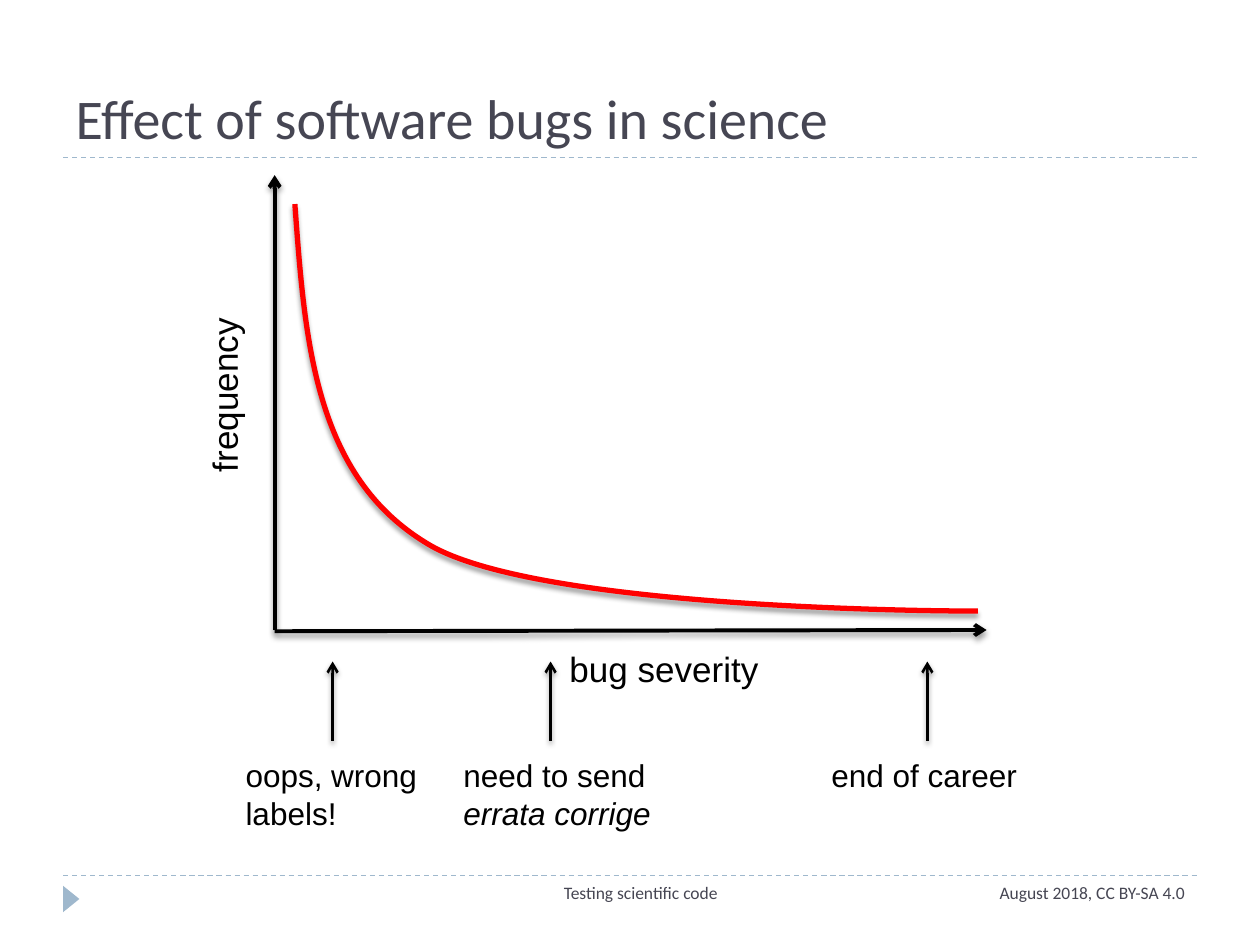
"""Build a slide sketching how often software bugs of each severity occur in science."""

from dataclasses import dataclass

from lxml.etree import SubElement
from pptx import Presentation
from pptx.dml.color import RGBColor
from pptx.enum.dml import MSO_LINE
from pptx.enum.shapes import MSO_CONNECTOR, MSO_SHAPE
from pptx.enum.text import MSO_ANCHOR, MSO_AUTO_SIZE, PP_ALIGN
from pptx.oxml.ns import qn
from pptx.util import Emu, Inches, Pt

BLACK = RGBColor(0x00, 0x00, 0x00)
RED = RGBColor(0xFF, 0x00, 0x00)
SLATE = RGBColor(0x46, 0x46, 0x53)
PALE_BLUE = RGBColor(0x9F, 0xB8, 0xCD)

SLIDE_WIDTH, SLIDE_HEIGHT = Inches(10), Inches(7.5)
COLUMNS = 10
CELL = SLIDE_WIDTH / COLUMNS

RULE_ROWS = (6.95, 1.25)
POINTER_BOTTOM, POINTER_TOP, NOTE_TOP = 5.88, 5.25, 5.95
CURVE_START = (2.34, 1.62)
CURVE_CONTROLS = [
    (2.42, 2.7), (2.49, 3.78), (3.4, 4.32),
    (4.3, 4.86), (7.76, 4.85), (7.76, 4.85),
]


@dataclass(frozen=True)
class Label:
    """A text box placed in grid columns and rows."""

    runs: tuple[str, ...]
    left: float
    top: float
    width: float
    height: float
    size: int
    align: PP_ALIGN = PP_ALIGN.LEFT
    font: str = "Arial"
    color: RGBColor = BLACK
    rotation: int = 0
    grows: bool = True


@dataclass(frozen=True)
class Note:
    """A severity example with its pointer; the second run is italic."""

    runs: tuple[str, ...]
    pointer: float
    left: float
    width: float
    height: float


@dataclass(frozen=True)
class Axis:
    """An axis arrow from start to end."""

    start: tuple[float, float]
    end: tuple[float, float]


AXES = [Axis((2.18, 5), (2.18, 1.39)), Axis((2.18, 5.01), (7.83, 5))]
AXIS_LABELS = [
    Label(("frequency",), 0.98, 2.91, 1.61, 0.45, 20, PP_ALIGN.CENTER, rotation=270),
    Label(("bug severity",), 4.28, 5.09, 1.98, 0.44, 20, PP_ALIGN.CENTER),
]
NOTES = [
    Note(("oops, wrong labels!",), 2.64, 1.85, 1.65, 0.71),
    Note(("need to send ", "errata corrige"), 4.37, 3.58, 1.73, 0.71),
    Note(("end of career",), 7.36, 6.5, 1.73, 0.4),
]
FOOTERS = [
    Label(("August 2018, CC BY-SA 4.0",), 7, 6.95, 2.5, 0.4, 10,
          PP_ALIGN.RIGHT, "Calibri", SLATE, grows=False),
    Label(("Testing scientific code",), 3.17, 6.95, 3.83, 0.4, 10,
          PP_ALIGN.CENTER, "Calibri", SLATE, grows=False),
]


def grid(*cells: float) -> list[Emu]:
    """Turn grid distances into lengths."""
    return [Emu(round(cell * CELL)) for cell in cells]


def set_shadow(shape, visible: bool) -> None:
    """Give a shape a soft shadow below it, or none."""
    effects = SubElement(shape._element.spPr, qn("a:effectLst"))
    if visible:
        shadow = SubElement(effects, qn("a:outerShdw"), blurRad=str(Pt(3)),
                            dist=str(Pt(2)), dir="5400000", rotWithShape="0")
        color = SubElement(shadow, qn("a:srgbClr"), val=str(BLACK))
        SubElement(color, qn("a:alpha"), val="40000")


def add_line(slide, start, end, color: RGBColor, weight: float):
    """Draw a straight connector between two grid points."""
    line = slide.shapes.add_connector(MSO_CONNECTOR.STRAIGHT, *grid(*start, *end))
    line.line.color.rgb = color
    line.line.width = Pt(weight)
    return line


def add_rule(slide, row: float) -> None:
    """Draw a dashed rule across the slide."""
    rule = add_line(slide, (0.5, row), (COLUMNS - 0.5, row), PALE_BLUE, 0.75)
    rule.line.dash_style = MSO_LINE.DASH
    set_shadow(rule, False)


def add_arrow(slide, start, end, weight: float) -> None:
    """Draw a black arrow with a shadow."""
    arrow = add_line(slide, start, end, BLACK, weight)
    SubElement(arrow.line._get_or_add_ln(), qn("a:tailEnd"), type="arrow")
    set_shadow(arrow, True)


def add_label(slide, label: Label) -> None:
    """Add a text box whose second run, if any, is italic."""
    box = slide.shapes.add_textbox(*grid(label.left, label.top, label.width, label.height))
    box.rotation = label.rotation
    frame = box.text_frame
    frame.word_wrap = True
    frame.auto_size = MSO_AUTO_SIZE.SHAPE_TO_FIT_TEXT if label.grows else MSO_AUTO_SIZE.NONE
    paragraph = frame.paragraphs[0]
    paragraph.alignment = label.align
    set_font(paragraph, label.font, label.size, label.color)
    for index, text in enumerate(label.runs):
        run = paragraph.add_run()
        run.text = text
        if index == 1:
            run.font.italic = True


def set_font(paragraph, name: str, size: int, color: RGBColor) -> None:
    """Set the font of a whole paragraph."""
    paragraph.font.name = name
    paragraph.font.size = Pt(size)
    paragraph.font.color.rgb = color


def add_note(slide, note: Note) -> None:
    """Add a severity example and the arrow pointing to its place on the axis."""
    add_arrow(slide, (note.pointer, POINTER_BOTTOM), (note.pointer, POINTER_TOP), 1.5)
    add_label(slide, Label(note.runs, note.left, NOTE_TOP, note.width, note.height, 18))


def add_curve(slide) -> None:
    """Draw the falling frequency curve as cubic segments."""
    builder = slide.shapes.build_freeform(*grid(*CURVE_START))
    builder.add_line_segments([grid(*point) for point in CURVE_CONTROLS], close=False)
    curve = builder.convert_to_shape()
    segments = list(curve._element.iter(qn("a:lnTo")))
    outline = segments[0].getparent()
    for first in range(0, len(segments), 3):
        cubic = SubElement(outline, qn("a:cubicBezTo"))
        for segment in segments[first:first + 3]:
            cubic.append(segment[0])
            outline.remove(segment)
    curve.fill.background()
    curve.line.color.rgb = RED
    curve.line.width = Pt(3)
    set_shadow(curve, True)


def add_marker(slide) -> None:
    """Add the footer triangle pointing right."""
    marker = slide.shapes.add_shape(MSO_SHAPE.ISOSCELES_TRIANGLE, *grid(0.46, 7.07, 0.21, 0.13))
    marker.rotation = 90
    marker.fill.solid()
    marker.fill.fore_color.rgb = PALE_BLUE
    marker.line.fill.background()
    marker.shadow.inherit = False


def set_title(slide, text: str) -> None:
    """Fill and format the title placeholder."""
    title = slide.shapes.title
    title.left, title.top, title.width, title.height = grid(0.5, 0.25, 9, 1)
    frame = title.text_frame
    frame.text = text
    frame.auto_size = MSO_AUTO_SIZE.NONE
    frame.vertical_anchor = MSO_ANCHOR.BOTTOM
    paragraph = frame.paragraphs[0]
    paragraph.alignment = PP_ALIGN.LEFT
    set_font(paragraph, "Calibri", 32, SLATE)


def main() -> None:
    """Build and save the slide."""
    presentation = Presentation()
    presentation.slide_width, presentation.slide_height = SLIDE_WIDTH, SLIDE_HEIGHT
    slide = presentation.slides.add_slide(presentation.slide_layouts.get_by_name("Title Only"))
    for row in RULE_ROWS:
        add_rule(slide, row)
    add_marker(slide)
    set_title(slide, "Effect of software bugs in science")
    for axis in AXES:
        add_arrow(slide, axis.start, axis.end, 2.25)
    for label in AXIS_LABELS:
        add_label(slide, label)
    add_curve(slide)
    for note in NOTES:
        add_note(slide, note)
    for footer in FOOTERS:
        add_label(slide, footer)
    presentation.save("out.pptx")


if __name__ == "__main__":
    main()
